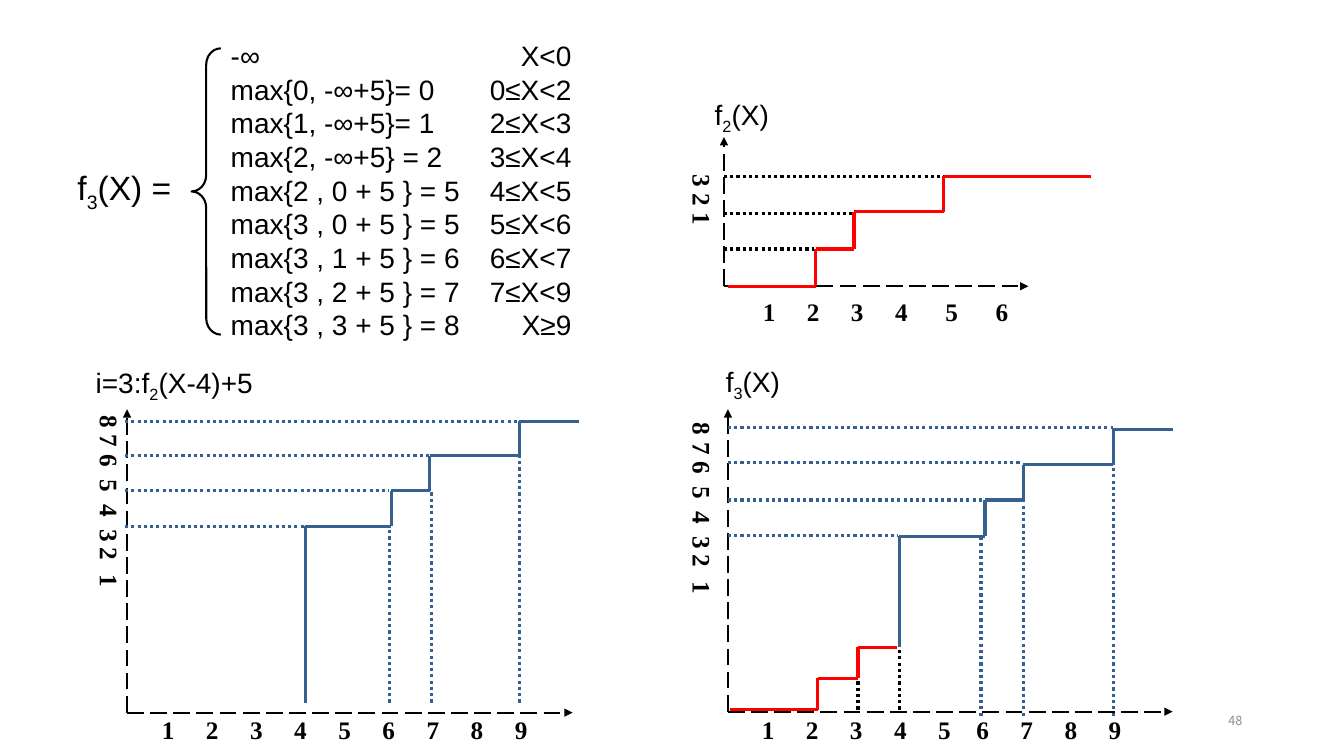
from dataclasses import dataclass
from itertools import pairwise

from lxml import etree
from pptx import Presentation
from pptx import util as u
from pptx.dml import color as c
from pptx.enum import dml, shapes, text
from pptx.oxml import ns


@dataclass(frozen=True)
class Theme:
    black: str = "000000"
    red: str = "FF0000"
    blue: str = "376092"
    gray: str = "8C8C8C"
    sans: str = "Arial"
    serif: str = "Times New Roman"
    cjk: str = "Noto Sans CJK SC"
    large: int = 24
    body: int = 20
    tick: int = 18
    small: int = 9


T = Theme()


@dataclass(frozen=True)
class Pen:
    color: str
    width: float = 2.25
    dash: dml.MSO_LINE | None = None
    arrow: bool = False


AXIS = Pen(T.black, 1.5, dml.MSO_LINE.LONG_DASH, True)
RED, BLUE = Pen(T.red), Pen(T.blue)
DOT = Pen(T.black, dash=dml.MSO_LINE.ROUND_DOT)
BLUE_DOT = Pen(T.blue, dash=dml.MSO_LINE.ROUND_DOT)


@dataclass(frozen=True)
class Face:
    name: str = T.sans
    size: int = T.body
    color: str = T.black
    bold: bool = False


TICK = Face(T.serif, T.tick, bold=True)


@dataclass(frozen=True)
class Label:
    """A text box; each row holds runs, and a run starting with _ is a subscript."""
    box: tuple[float, float, float, float]
    rows: list[list[str]]
    face: Face = Face()
    tabs: tuple[float, ...] = ()
    align: str = "ctr"
    vert: bool = False
    wrap: bool = True
    line: float | None = None
    gap: float = 0


@dataclass(frozen=True)
class Trace:
    pen: Pen
    dots: list[tuple[float, float]]


def ticks(box: tuple[float, float, float, float], marks: str,
          tabs: tuple[float, ...], vert: bool = False) -> Label:
    """Axis numbers, each centred on its own tab stop."""
    return Label(box, [["".join("\t" + m for m in marks)]], TICK, tabs, vert=vert)


def axes(x: float, y: float, right: float, top: float) -> list[Trace]:
    return [Trace(AXIS, [(x, y), (right, y)]), Trace(AXIS, [(x, y), (x, top)])]


def across(pen: Pen, left: float, ends: list[tuple[float, float]]) -> list[Trace]:
    return [Trace(pen, [(left, y), (x, y)]) for x, y in ends]


def down(pen: Pen, foot: float, tops: list[tuple[float, float]]) -> list[Trace]:
    return [Trace(pen, [(x, foot), (x, y)]) for x, y in tops]


STEP = 0.4375
EVEN = tuple(0.12 + STEP * i for i in range(9))
SIDE = (0.12, 0.31, 0.5, 0.75, 1.0, 1.25, 1.43, 1.69)

CASES = [
    ("-∞", "X<0"),
    ("max{0, -∞+5}= 0", "0≤X<2"),
    ("max{1, -∞+5}= 1", "2≤X<3"),
    ("max{2, -∞+5} = 2", "3≤X<4"),
    ("max{2 , 0 + 5 } = 5", "4≤X<5"),
    ("max{3 , 0 + 5 } = 5", "5≤X<6"),
    ("max{3 , 1 + 5 } = 6", "6≤X<7"),
    ("max{3 , 2 + 5 } = 7", "7≤X<9"),
    ("max{3 , 3 + 5 } = 8", "X≥9"),
]

LABELS = [
    Label((2.19, 0.4, 3.73, 3.03), [["\t".join(row)] for row in CASES],
          tabs=(3.38,), align="r", line=0.8, gap=4.8),
    Label((0.67, 1.61, 1.23, 0.51), [["f", "_3", "(X) ="]], Face(size=T.large)),
    Label((6.99, 0.92, 0.9, 0.35), [["f", "_2", "(X)"]]),
    Label((0.85, 3.58, 1.92, 0.43), [["i=3:f", "_2", "(X-4)+5"]]),
    Label((7.1, 3.57, 0.78, 0.44), [["f", "_3", "(X)"]], wrap=False),
    ticks((7.41, 2.89, 3.06, 0.33), "123456", EVEN[:4] + (1.93, 2.43)),
    ticks((1.45, 7.04, 4.46, 0.31), "123456789", EVEN),
    ticks((7.4, 7.04, 4.46, 0.31), "123456789",
          EVEN[:5] + tuple(x - 0.06 for x in EVEN[5:])),
    ticks((6.67, 1.63, 0.5, 1.26), "321", (0.07, 0.25, 0.44), True),
    ticks((0.79, 3.97, 0.5, 3.2), "87654321", SIDE, True),
    ticks((6.67, 4.04, 0.5, 3.2), "87654321", SIDE, True),
]

SECOND = axes(7.18, 2.84, 10.2, 1.36) + across(
    DOT, 7.18, [(8.07, 2.47), (8.45, 2.12), (9.36, 1.75)]) + [
    Trace(RED, [(7.22, 2.84), (8.09, 2.84), (8.09, 2.47), (8.47, 2.47),
                (8.47, 2.1), (9.36, 2.1), (9.36, 1.75), (10.82, 1.75)])]

MOVED = axes(1.26, 7.07, 5.68, 4.06) + across(
    BLUE_DOT, 1.24, [(3.03, 5.22), (3.86, 4.87), (4.26, 4.52), (5.15, 4.18)]) + down(
    BLUE_DOT, 6.97, [(3.86, 5.22), (4.28, 4.87), (5.15, 4.52)]) + [
    Trace(BLUE, [(3.03, 6.97), (3.03, 5.22), (3.88, 5.22), (3.88, 4.87),
                 (4.26, 4.87), (4.26, 4.52), (5.15, 4.52), (5.15, 4.18),
                 (5.74, 4.18)])]

THIRD = axes(7.22, 7.06, 11.63, 4.06) + across(
    BLUE_DOT, 7.22, [(8.9, 5.31), (9.75, 4.96), (10.13, 4.59), (11.04, 4.24)]) + down(
    BLUE_DOT, 7.1, [(9.73, 5.31), (10.15, 4.96), (11.04, 4.59)]) + down(
    DOT, 7.04, [(8.51, 6.73), (8.92, 6.45)]) + [
    Trace(BLUE, [(8.92, 6.42), (8.92, 5.32), (9.77, 5.32), (9.77, 4.96),
                 (10.15, 4.96), (10.15, 4.61), (11.04, 4.61), (11.04, 4.26),
                 (11.63, 4.26)]),
    Trace(RED, [(7.24, 7.04), (8.11, 7.04), (8.11, 6.73), (8.51, 6.73),
                (8.51, 6.42), (8.9, 6.42)])]


def draw(slide, trace: Trace) -> None:
    pen = trace.pen
    for a, b in pairwise(trace.dots):
        link = slide.shapes.add_connector(
            shapes.MSO_CONNECTOR.STRAIGHT, *(u.Inches(v) for v in a + b))
        link.line.color.rgb = c.RGBColor.from_string(pen.color)
        link.line.width = u.Pt(pen.width)
        if pen.dash:
            link.line.dash_style = pen.dash
        if pen.arrow:
            etree.SubElement(link.line.get_or_change_to_ln() if hasattr(
                link.line, "get_or_change_to_ln") else link.get_or_add_ln(),
                ns.qn("a:tailEnd"), type="triangle")
        etree.SubElement(link._element.spPr, ns.qn("a:effectLst"))


def write(slide, label: Label):
    frame = slide.shapes.add_textbox(*(u.Inches(v) for v in label.box)).text_frame
    frame.word_wrap = label.wrap
    frame.auto_size = text.MSO_AUTO_SIZE.SHAPE_TO_FIT_TEXT
    if label.vert:
        frame._txBody.bodyPr.set("vert", "eaVert")
    for i, row in enumerate(label.rows):
        para = frame.add_paragraph() if i else frame.paragraphs[0]
        para.line_spacing = label.line
        if i:
            para.space_before = u.Pt(label.gap)
        if label.tabs:
            stops = etree.SubElement(para._p.get_or_add_pPr(), ns.qn("a:tabLst"))
            for x in label.tabs:
                etree.SubElement(stops, ns.qn("a:tab"),
                                 pos=str(u.Inches(x)), algn=label.align)
        for part in row:
            run = para.add_run()
            run.text = part.removeprefix("_")
            font, face = run.font, label.face
            font.name, font.size, font.bold = face.name, u.Pt(face.size), face.bold
            font.color.rgb = c.RGBColor.from_string(face.color)
            if part.startswith("_"):
                run._r.get_or_add_rPr().set("baseline", "-25000")
    return frame


def main() -> None:
    deck = Presentation()
    deck.slide_width, deck.slide_height = u.Inches(13.33), u.Inches(7.5)
    slide = deck.slides.add_slide(deck.slide_layouts[6])
    brace = slide.shapes.add_shape(
        shapes.MSO_SHAPE.LEFT_BRACE, *(u.Inches(v) for v in (1.9, 0.48, 0.29, 2.84)))
    brace.adjustments[0] = 0.56
    brace.shadow.inherit = False
    brace.fill.background()
    brace.line.color.rgb = c.RGBColor.from_string(T.black)
    brace.line.width = u.Pt(1.5)
    for label in LABELS:
        write(slide, label)
    for trace in SECOND + MOVED + THIRD:
        draw(slide, trace)
    page = write(slide, Label((9.42, 6.95, 3, 0.4), [["48"]],
                              Face(T.cjk, T.small, T.gray)))
    page.auto_size = text.MSO_AUTO_SIZE.NONE
    page.vertical_anchor = text.MSO_ANCHOR.MIDDLE
    page.paragraphs[0].alignment = text.PP_ALIGN.RIGHT
    deck.save("out.pptx")


if __name__ == "__main__":
    main()
